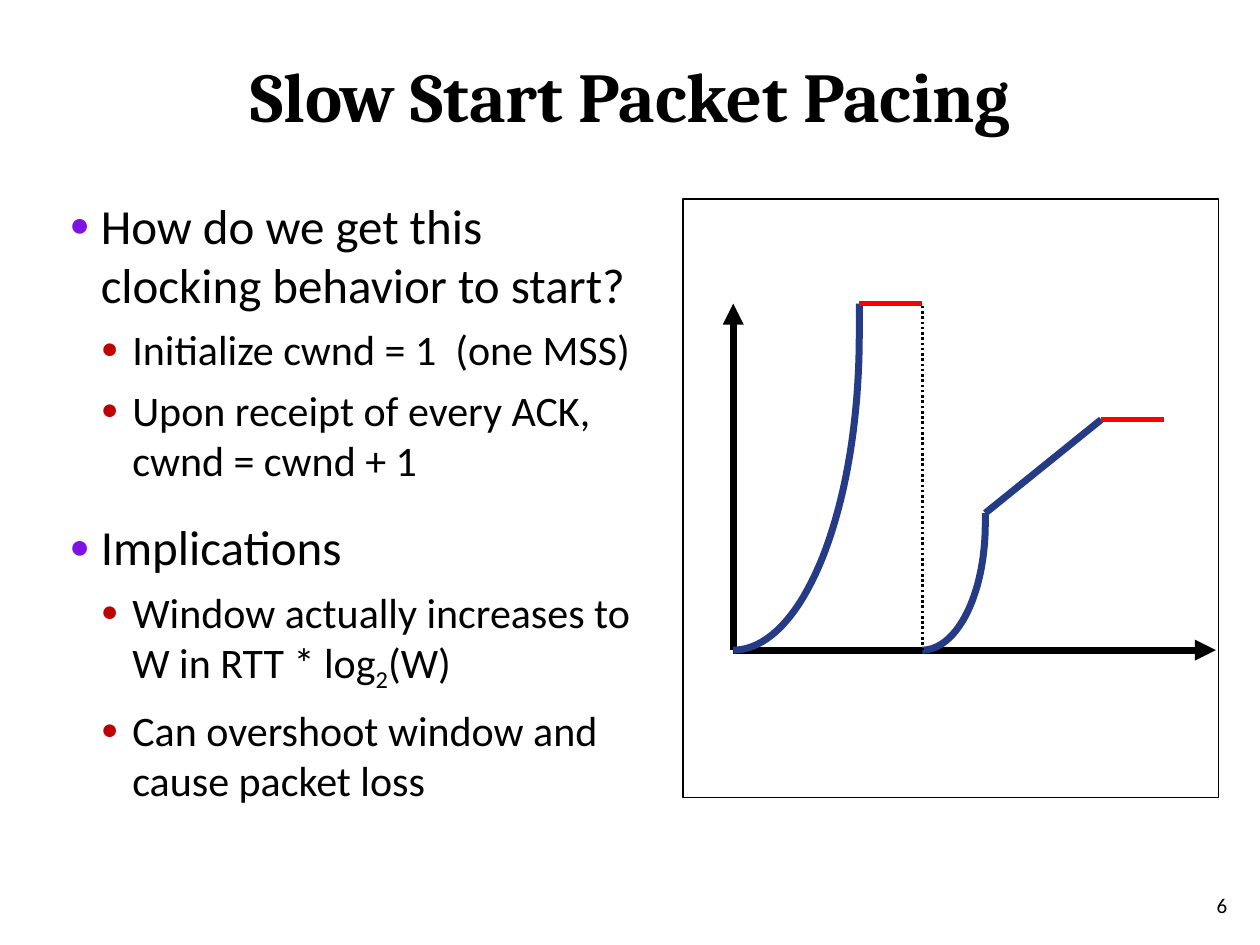
from math import cos, pi, sin

from lxml import etree
from pptx import Presentation
from pptx.dml.color import RGBColor
from pptx.enum.dml import MSO_LINE
from pptx.enum.shapes import MSO_CONNECTOR, MSO_SHAPE
from pptx.enum.text import MSO_ANCHOR, MSO_AUTO_SIZE, PP_ALIGN
from pptx.oxml.ns import qn
from pptx.util import Inches, Pt

BLACK = RGBColor(0x00, 0x00, 0x00)
WHITE = RGBColor(0xFF, 0xFF, 0xFF)
RED = RGBColor(0xFF, 0x00, 0x00)
NAVY = RGBColor(0x26, 0x3B, 0x86)
PURPLE = RGBColor(0x7E, 0x13, 0xE3)
CRIMSON = RGBColor(0xBE, 0x02, 0x04)
STRAIGHT = MSO_CONNECTOR.STRAIGHT
RECT = MSO_SHAPE.RECTANGLE
DOTTED = MSO_LINE.ROUND_DOT
MIDDLE, TOP = MSO_ANCHOR.MIDDLE, MSO_ANCHOR.TOP
CENTER, LEFT, RIGHT = PP_ALIGN.CENTER, PP_ALIGN.LEFT, PP_ALIGN.RIGHT
NO_FIT = MSO_AUTO_SIZE.NONE

WIDE, HIGH = Inches(10), Inches(7.5)
COL, ROW = Inches(0.5), Inches(0.25)
STEPS = 40
LEVELS = [
    {"size": 28, "gap": 18, "left": 0.25, "dot": PURPLE},
    {"size": 24, "gap": 6, "left": 0.5, "dot": CRIMSON},
]
POINTS = [
    (0, ["How do we get this clocking behavior to start?"]),
    (1, ["Initialize cwnd = 1  (one MSS)"]),
    (1, ["Upon receipt of every ACK, cwnd = cwnd + 1"]),
    (0, ["Implications"]),
    (1, ["Window actually increases to W in RTT * log", "2", "(W)"]),
    (1, ["Can overshoot window and cause packet loss"]),
]


def share(left, top, width, height):
    """Turn shares of the slide into a box of lengths."""
    return int(left * WIDE), int(top * HIGH), int(width * WIDE), int(height * HIGH)


def format_all(item, values):
    """Set every named value on the item."""
    for name, value in values.items():
        setattr(item, name, value)


def place(shape, box):
    """Move and size a shape to its box."""
    format_all(shape, dict(zip(("left", "top", "width", "height"), box)))


def set_frame(frame, anchor):
    """Give a text frame its wrapping and anchor."""
    format_all(frame, {"word_wrap": True, "auto_size": NO_FIT,
                       "vertical_anchor": anchor})


def add_run(para, text, size, face="Calibri", bold=False):
    """Add a formatted black run and return it."""
    run = para.add_run()
    run.text = text
    format_all(run.font, {"size": Pt(size), "name": face, "bold": bold})
    run.font.color.rgb = BLACK
    return run


def add_title(slide, box):
    """Fill the title placeholder."""
    title = slide.shapes.title
    place(title, box)
    set_frame(title.text_frame, MIDDLE)
    para = title.text_frame.paragraphs[0]
    para.alignment = CENTER
    add_run(para, "Slow Start Packet Pacing", 40, "Cambria", True)


def add_bullet(para, left, color):
    """Give a paragraph a hanging round bullet."""
    props = para._p.get_or_add_pPr()
    props.set("marL", str(Inches(left)))
    props.set("indent", str(-Inches(0.25)))
    tint = etree.SubElement(props, qn("a:buClr"))
    etree.SubElement(tint, qn("a:srgbClr"), val=str(color))
    etree.SubElement(props, qn("a:buSzPct"), val="70000")
    etree.SubElement(props, qn("a:buChar"), char="●")


def add_body(slide, box):
    """Fill the body placeholder with the two-level list."""
    body = slide.placeholders[1]
    place(body, box)
    frame = body.text_frame
    set_frame(frame, TOP)
    for spot, (level, parts) in enumerate(POINTS):
        look = LEVELS[level]
        para = frame.add_paragraph() if spot else frame.paragraphs[0]
        format_all(para, {"level": level, "alignment": LEFT,
                          "space_before": Pt(look["gap"])})
        add_bullet(para, look["left"], look["dot"])
        for part, text in enumerate(parts):
            run = add_run(para, text, look["size"])
            if part == 1:
                run.font._element.set("baseline", "-25000")


def add_line(slide, start, end, color, width, dash=None, arrow=False):
    """Draw a straight line, with an arrowhead at its start if asked."""
    line = slide.shapes.add_connector(STRAIGHT, *start, *end)
    line.line.color.rgb = color
    format_all(line.line, {"width": Pt(width), "dash_style": dash})
    etree.SubElement(line._element.spPr, qn("a:effectLst"))
    if arrow:
        etree.SubElement(line.line._get_or_add_ln(), qn("a:headEnd"), type="triangle")


def add_curve(slide, spot, start, wide, bend, rise):
    """Draw a quarter ellipse that bends upward, then runs straight up."""
    angles = [pi / 2 * step / STEPS for step in range(1, STEPS + 1)]
    path = [spot(start + wide * sin(a), bend * (1 - cos(a))) for a in angles]
    path.append(spot(start + wide, rise))
    pen = slide.shapes.build_freeform(*spot(start, 0))
    pen.add_line_segments(path, close=False)
    curve = pen.convert_to_shape()
    curve.shadow.inherit = False
    curve.fill.background()
    curve.line.color.rgb = NAVY
    curve.line.width = Pt(4)


def add_panel(slide, box):
    """Draw the bordered panel behind the text."""
    panel = slide.shapes.add_shape(RECT, *box)
    panel.shadow.inherit = False
    panel.fill.solid()
    panel.fill.fore_color.rgb = WHITE
    panel.line.color.rgb = BLACK
    panel.line.width = Pt(0.75)
    panel._element.getparent().insert(2, panel._element)


def add_graph(slide, box):
    """Draw the window size over time within the panel."""
    left, top, width, height = box
    zero = left + Inches(0.4), top + height - Inches(1.17)

    def spot(col, row):
        """Find a grid point measured from the graph's corner."""
        return int(zero[0] + col * COL), int(zero[1] - row * ROW)

    peak, knee, crest = 11, 4.35, 7.32
    add_panel(slide, box)
    add_line(slide, spot(0, peak), spot(0, 0), BLACK, 4, arrow=True)
    add_line(slide, spot(4, knee), spot(5.84, crest), NAVY, 4)
    add_line(slide, spot(7.66, 0), spot(0, 0), BLACK, 4, arrow=True)
    add_curve(slide, spot, 0, 2, 10, peak)
    add_line(slide, spot(2, peak), spot(3, peak), RED, 3)
    add_curve(slide, spot, 3, 1, 4, knee)
    add_line(slide, spot(3, 0), spot(3, peak), BLACK, 1.5, DOTTED)
    add_line(slide, spot(5.84, crest), spot(6.84, crest), RED, 3)


def add_number(slide, box):
    """Write the slide number."""
    frame = slide.shapes.add_textbox(*box).text_frame
    set_frame(frame, MIDDLE)
    para = frame.paragraphs[0]
    para.alignment = RIGHT
    add_run(para, "6", 12)


def main():
    """Build and save the slide."""
    deck = Presentation()
    format_all(deck, {"slide_width": WIDE, "slide_height": HIGH})
    slide = deck.slides.add_slide(deck.slide_layouts[1])
    add_title(slide, share(0.046, 0.028, 0.909, 0.144))
    add_body(slide, share(0.045, 0.2, 0.472, 0.7))
    add_graph(slide, (Inches(5.42), Inches(1.58), Inches(4.25), Inches(4.75)))
    add_number(slide, share(0.917, 0.941, 0.067, 0.033))
    deck.save("out.pptx")


if __name__ == "__main__":
    main()
